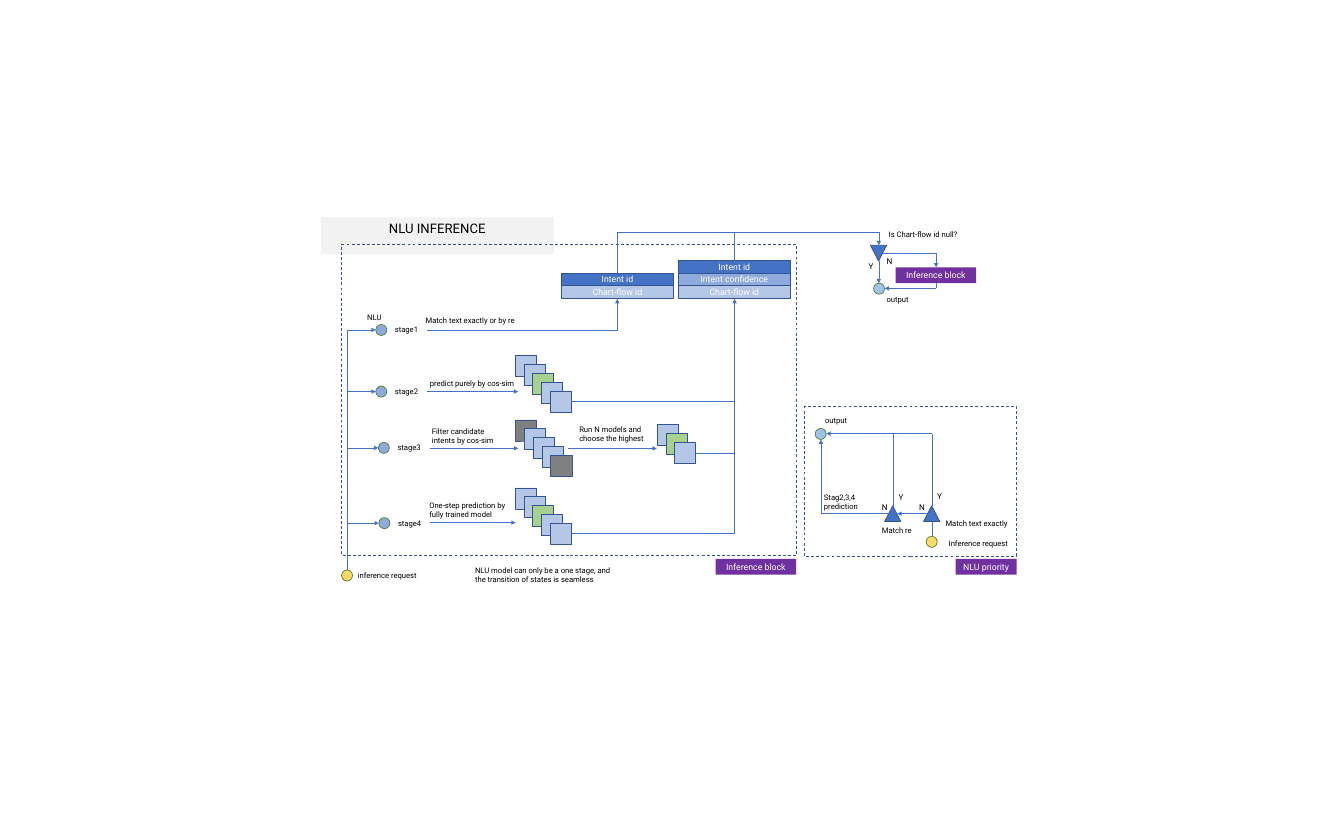
import pptx
import pptx.dml.color
import pptx.enum.dml
import pptx.enum.shapes
import pptx.enum.text
import pptx.oxml
import pptx.util

CELL = 0.1  # inches per grid column and row
FONT = "Roboto"
SQUARE_SIDE = 4
SQUARE_STEP = 1.67
DOT = 2.1
COLORS = {
    "black": "000000", "white": "FFFFFF", "title": "F2F2F2", "purple": "7030A0",
    "blue": "4472C4", "middle": "8FAADC", "pale": "B4C7E7", "border": "325491",
    "green": "A9D18E", "gray": "808080", "yellow": "FFD966", "sky": "9DC3E6",
    "dot_border": "538035",
}
SHAPES = pptx.enum.shapes.MSO_SHAPE
ANCHORS = pptx.enum.text.MSO_ANCHOR
ALIGNMENTS = pptx.enum.text.PP_ALIGN


def grid(count):
    return pptx.util.Inches(count * CELL)


def color(name):
    return pptx.dml.color.RGBColor.from_string(COLORS[name])


class Region:
    """A box on the grid; its parts are placed in columns and rows from its corner."""

    def __init__(self, slide, left, top):
        self.slide, self.left, self.top = slide, left, top

    def place(self, left, top):
        return grid(self.left + left), grid(self.top + top)

    def fill_text(self, shape, text, size, ink, align, anchor):
        frame = shape.text_frame
        frame.word_wrap = True
        frame.vertical_anchor = anchor
        paragraph = frame.paragraphs[0]
        paragraph.alignment = align
        run = paragraph.add_run()
        run.text = text
        run.font.name = FONT
        run.font.size = pptx.util.Pt(size)
        run.font.color.rgb = color(ink)

    def text(self, text, left, top, width, height=2.8, size=10.5, align=ALIGNMENTS.LEFT):
        box = self.slide.shapes.add_textbox(*self.place(left, top), grid(width), grid(height))
        self.fill_text(box, text, size, "black", align, ANCHORS.TOP)

    def letter(self, text, left, top):
        self.text(text, left, top, 2.5, 2.9, size=11)

    def shape(self, kind, left, top, width, height, fill=None, border="border"):
        shape = self.slide.shapes.add_shape(
            kind, *self.place(left, top), grid(width), grid(height))
        shape.shadow.inherit = False
        if fill:
            shape.fill.solid()
            shape.fill.fore_color.rgb = color(fill)
        else:
            shape.fill.background()
        if border:
            shape.line.color.rgb = color(border)
            shape.line.width = pptx.util.Pt(1)
        else:
            shape.line.fill.background()
        return shape

    def label(self, text, left, top, width, height, fill, border=None,
              size=12, ink="white", anchor=ANCHORS.MIDDLE):
        shape = self.shape(SHAPES.RECTANGLE, left, top, width, height, fill, border)
        self.fill_text(shape, text, size, ink, ALIGNMENTS.CENTER, anchor)

    def frame(self, width, height):
        shape = self.shape(SHAPES.RECTANGLE, 0, 0, width, height)
        shape.line.dash_style = pptx.enum.dml.MSO_LINE.DASH

    def dot(self, left, top, fill):
        self.shape(SHAPES.OVAL, left, top, DOT, DOT, fill, "dot_border")

    def triangle(self, left, top):
        return self.shape(SHAPES.ISOSCELES_TRIANGLE, left, top, 3.1, 3, "blue")

    def route(self, *points, arrow=True):
        """Join the points with straight legs; the last leg carries the arrowhead."""
        for start, end in zip(points, points[1:]):
            leg = self.slide.shapes.add_connector(
                pptx.enum.shapes.MSO_CONNECTOR.STRAIGHT, *self.place(*start), *self.place(*end))
            leg.line.color.rgb = color("blue")
            leg.line.width = pptx.util.Pt(0.5)
            if arrow and end == points[-1]:
                leg.get_or_add_ln().append(pptx.oxml.parse_xml(
                    '<a:tailEnd xmlns:a="http://schemas.openxmlformats.org/drawingml/2006/main"'
                    ' type="triangle"/>'))
            leg._element.spPr.append(pptx.oxml.parse_xml(
                '<a:effectLst xmlns:a="http://schemas.openxmlformats.org/drawingml/2006/main"/>'))

    def pile(self, left, top, fills):
        """Stack overlapping squares and return the middle of the last right side."""
        for index, fill in enumerate(fills):
            shift = index * SQUARE_STEP
            self.shape(SHAPES.RECTANGLE, left + shift, top + shift,
                       SQUARE_SIDE, SQUARE_SIDE, fill)
        return left + shift + SQUARE_SIDE, top + shift + SQUARE_SIDE / 2

    def record(self, left, bottom, rows):
        height = 2.4
        for index, (text, fill) in enumerate(rows):
            top = bottom - height * (len(rows) - index)
            self.label(text, left, top, 21.3, height, fill, "border")


def draw_title(slide):
    region = Region(slide, 61, 41.3)
    region.label("NLU INFERENCE", 0, 0, 44.2, 7, "title",
                 size=18, ink="black", anchor=ANCHORS.TOP)


def draw_inference(slide):
    region = Region(slide, 64.9, 46.5)
    region.frame(86.5, 59)

    # Request trunk and stages
    trunk, request_top = 1, 61.8
    stages = [(6.5, 16.2), (6.5, 27.9), (7, 38.6), (7.1, 52.9)]
    region.route((trunk, request_top), (trunk, stages[0][1]), arrow=False)
    for number, (left, middle) in enumerate(stages, 1):
        region.route((trunk, middle), (left, middle))
        region.dot(left, middle - DOT / 2, "middle")
        region.text(f"stage{number}", left + 2, middle - 1.4, 7.7, align=ALIGNMENTS.CENTER)
    region.dot(0, request_top, "yellow")
    region.text("inference request", 2.1, 61.5, 13.9)
    region.text("NLU", 3.9, 12.4, 7.7)

    # Result records
    region.record(41.8, 10.2, [("Intent id", "blue"), ("Chart-flow id", "pale")])
    region.record(64, 10.2, [("Intent id", "blue"), ("Intent confidence", "middle"),
                             ("Chart-flow id", "pale")])

    # Piles of models, joined to the second record
    models = ["pale", "pale", "green", "pale", "pale"]
    exits = [
        region.pile(33, 21.1, models),
        region.pile(60, 34.2, ["pale", "green", "pale"]),
        region.pile(33, 46.2, models),
    ]
    region.pile(33.1, 33.3, ["gray", "pale", "pale", "pale", "gray"])
    exact, scored, record_bottom, bus = 52.4, 74.7, 10.3, -2.4
    for right, middle in exits:
        region.route((right, middle), (scored, middle), arrow=False)
    region.route((scored, exits[-1][1]), (scored, record_bottom))

    # Stage arrows and risers
    region.route((16.3, 16.3), (exact, 16.3), (exact, record_bottom))
    for start, end, middle in [(16.2, 33.6, 27.9), (16.8, 33.6, 38.7),
                               (43.1, 59.9, 38.7), (16.8, 33.1, 52.8)]:
        region.route((start, middle), (end, middle))
    region.route((exact, 5.4), (exact, bus), arrow=False)
    region.route((scored, 3), (scored, bus), arrow=False)

    # Notes
    region.text("Match text exactly or by re", 15, 13.1, 19.8)
    region.text("predict purely by cos-sim", 15.8, 25, 19.9)
    region.text("Filter candidate intents by cos-sim", 16.2, 34.1, 15.3, 4.5)
    region.text("Run N models and choose the highest", 44.2, 33.7, 14.6, 4.5)
    region.text("One-step prediction by fully trained model", 15.7, 48.1, 16.8, 4.5)
    region.text("NLU model can only be a one stage, and the transition of states is seamless",
                24.4, 60.5, 28.7, 4.5)
    region.label("Inference block", 71.1, 59.7, 15.3, 3, "purple")


def draw_check(slide):
    region = Region(slide, 164, 43)
    region.triangle(1.4, 3.6).rotation = 180
    region.route((-46.7, 1.1), (3, 1.1), (3, 3.6))
    region.route((3, 6.6), (3, 10.8))
    region.route((3.8, 5.1), (13.9, 5.1), (13.9, 7.8))
    region.route((13.9, 10.8), (13.9, 11.8), (4.1, 11.8))
    region.dot(2, 10.8, "sky")
    region.label("Inference block", 6.2, 7.8, 15.3, 3, "purple")
    region.text("Is Chart-flow id null?", 3.9, 0.1, 15.3)
    region.text("output", 3.5, 12.6, 7.9)
    region.letter("Y", 0.1, 6.2)
    region.letter("N", 3.5, 5.3)


def draw_priority(slide):
    region = Region(slide, 152.9, 77.3)
    region.frame(40.3, 28.4)

    # Request, two tests and output
    region.dot(23.1, 24.6, "yellow")
    region.dot(2, 4.1, "sky")
    for left in (22.6, 15.2):
        region.triangle(left, 18.8)
    region.route((24.2, 24.6), (24.2, 21.8), arrow=False)
    region.route((24.2, 18.8), (24.2, 5.1), (4.1, 5.1))
    region.route((16.8, 18.8), (16.8, 5.1), arrow=False)
    region.route((23.4, 20.3), (17.6, 20.3))
    region.route((16, 20.3), (3.1, 20.3), (3.1, 6.2))

    # Labels
    region.text("output", 2.9, 1.3, 7.9)
    region.text("Inference request", 26.4, 24.6, 13.9)
    region.text("Match text exactly", 25.8, 20.8, 15.3)
    region.text("Match re", 13.7, 22.1, 7.9)
    region.text("Stag2,3,4 prediction", 2.7, 15.9, 10.2, 4.5)
    for text, left, top in [("Y", 24.2, 15.6), ("N", 20.8, 17.7),
                            ("Y", 16.9, 15.8), ("N", 13.7, 17.6)]:
        region.letter(text, left, top)
    region.label("NLU priority", 28.7, 28.9, 11.6, 3, "purple")


def main():
    presentation = pptx.Presentation()
    presentation.slide_width = pptx.util.Inches(25.54)
    presentation.slide_height = pptx.util.Inches(15.77)
    slide = presentation.slides.add_slide(presentation.slide_layouts[6])
    for draw in (draw_title, draw_inference, draw_check, draw_priority):
        draw(slide)
    presentation.save("out.pptx")


if __name__ == "__main__":
    main()
